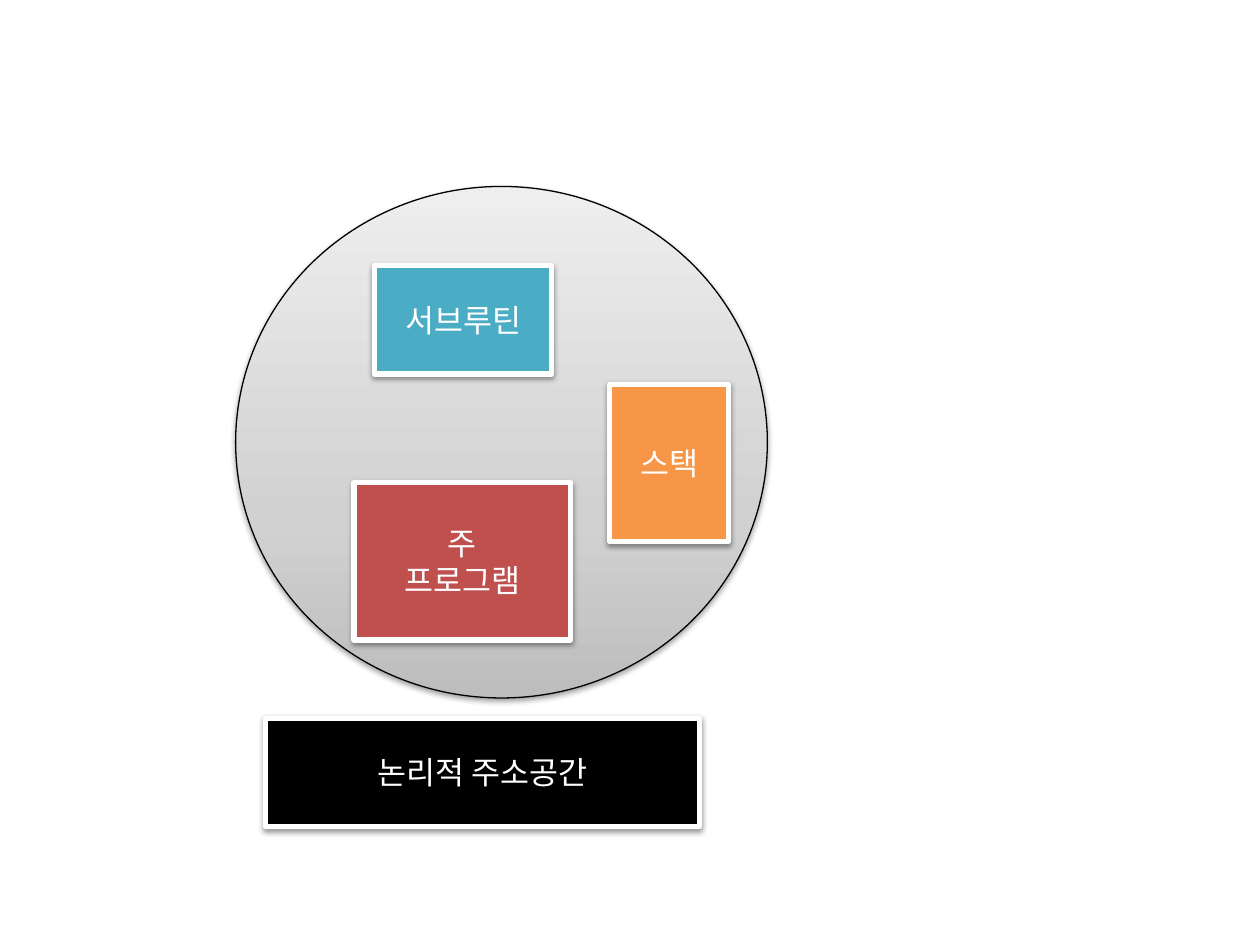
from lxml.etree import SubElement
from pptx import Presentation
from pptx.dml.color import RGBColor
from pptx.enum.shapes import MSO_SHAPE as Preset
from pptx.enum.text import MSO_ANCHOR as Anchor, PP_ALIGN as Align
from pptx.oxml.ns import qn
from pptx.util import Inches, Pt

THEME = {
    "font": "Noto Sans CJK KR",
    "size": 18,
    "white": "FFFFFF",
    "black": "000000",
    "teal": "4BACC6",
    "orange": "F79646",
    "red": "C0504D",
    "gradient": [(0, "BDBDBD"), (35, "D1D1D1"), (100, "EEEEEE")],
    "shadow": {"opacity": 38, "blur": 3.1, "distance": 1.6, "direction": 90},
}

# Content: lines, fill, (left, top, width, height) in inches
ADDRESS_SPACE = (1.87, 1.48, 4.22, 4.06)
BLOCKS = [
    (["서브루틴"], "teal", (2.97, 2.11, 1.41, 0.86)),
    (["스택"], "orange", (4.84, 3.05, 0.94, 1.25)),
    (["주", "프로그램"], "red", (2.81, 3.83, 1.72, 1.25)),
    (["논리적 주소공간"], "black", (2.11, 5.7, 3.44, 0.86)),
]


def color(name):
    return RGBColor.from_string(THEME[name])


def add_color(parent, value):
    return SubElement(parent, qn("a:srgbClr"), val=value)


def add_shadow(shape):
    shadow = THEME["shadow"]
    shape.shadow.inherit = False
    effects = shape._element.spPr.find(qn("a:effectLst"))
    outer = SubElement(effects, qn("a:outerShdw"), blurRad=str(Pt(shadow["blur"])),
                       dist=str(Pt(shadow["distance"])),
                       dir=str(shadow["direction"] * 60000), rotWithShape="0")
    SubElement(add_color(outer, THEME["black"]), qn("a:alpha"),
               val=str(shadow["opacity"] * 1000))


def add_outlined(slide, preset, box, line, width):
    shape = slide.shapes.add_shape(preset, *map(Inches, box))
    shape.line.color.rgb = color(line)
    shape.line.width = Pt(width)
    add_shadow(shape)
    return shape


def fill_gradient(shape):
    shape.fill.gradient()
    shape.fill.gradient_angle = 90
    stops = shape._element.spPr.find(qn("a:gradFill")).find(qn("a:gsLst"))
    for stop in list(stops):
        stops.remove(stop)
    for position, value in THEME["gradient"]:
        add_color(SubElement(stops, qn("a:gs"), pos=str(position * 1000)), value)


def write_lines(shape, lines):
    frame = shape.text_frame
    frame.word_wrap = True
    frame.vertical_anchor = Anchor.MIDDLE
    for index, line in enumerate(lines):
        paragraph = frame.add_paragraph() if index else frame.paragraphs[0]
        paragraph.alignment = Align.CENTER
        run = paragraph.add_run()
        run.text = line
        run.font.size = Pt(THEME["size"])
        run.font.color.rgb = color("white")
        run.font.name = THEME["font"]
        SubElement(run.font._element, qn("a:ea"), typeface=THEME["font"])


presentation = Presentation()
presentation.slide_width, presentation.slide_height = Inches(10), Inches(7.5)
slide = presentation.slides.add_slide(presentation.slide_layouts[6])

# Address space circle
fill_gradient(add_outlined(slide, Preset.OVAL, ADDRESS_SPACE, "black", 0.75))

# Labelled blocks
for lines, fill, box in BLOCKS:
    block = add_outlined(slide, Preset.RECTANGLE, box, "white", 3)
    block.fill.solid()
    block.fill.fore_color.rgb = color(fill)
    write_lines(block, lines)

presentation.save("out.pptx")
